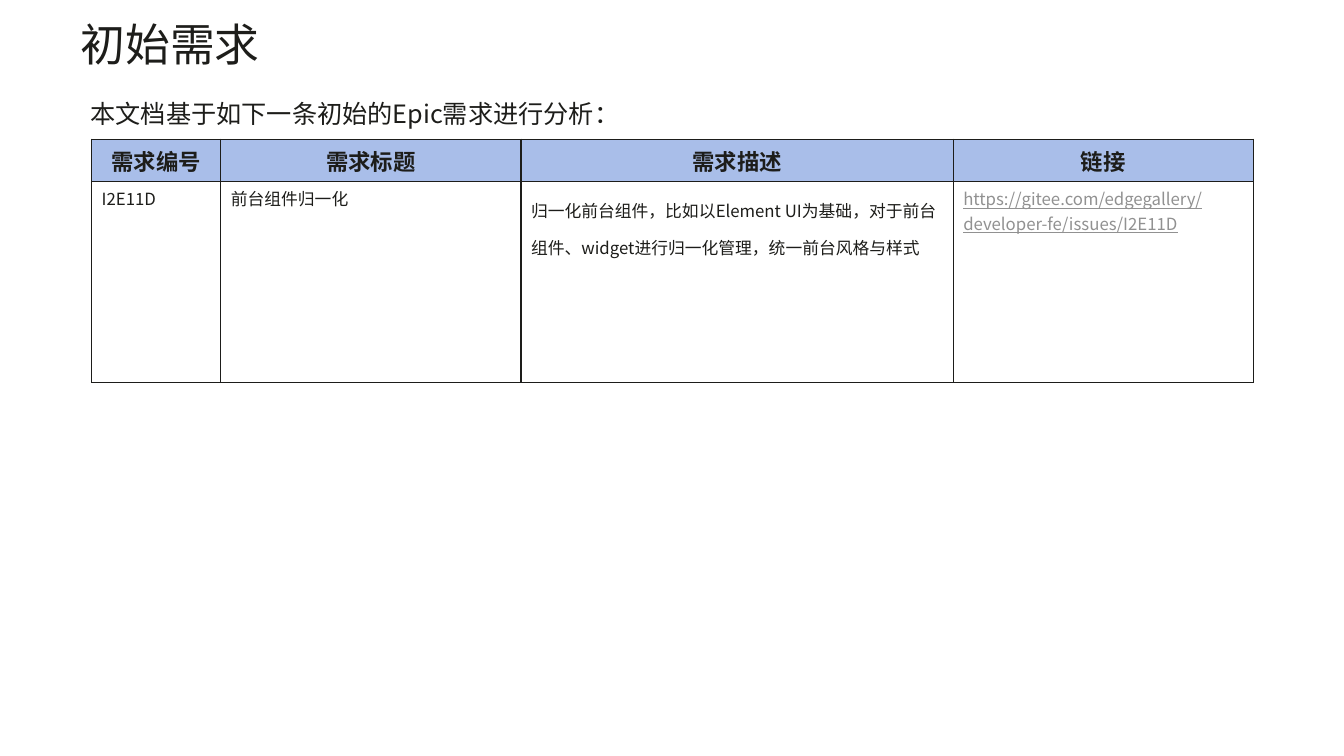
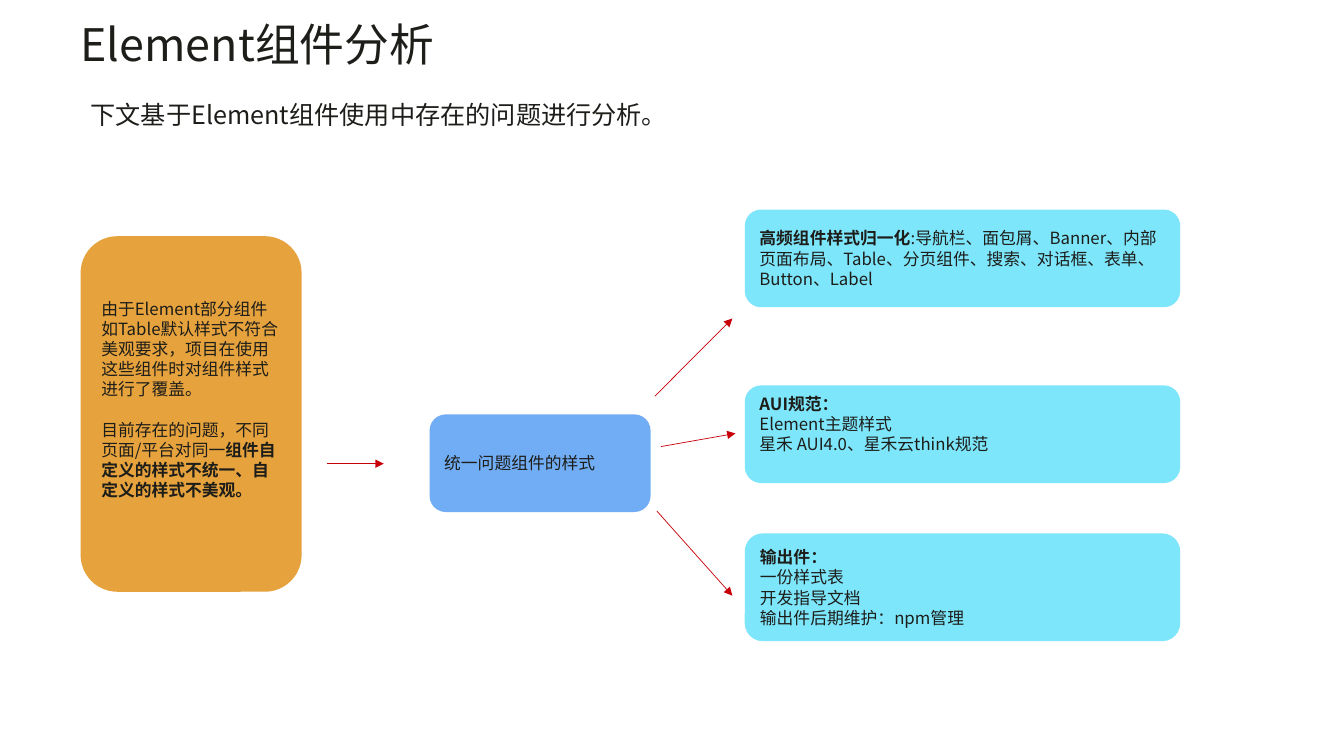
from dataclasses import dataclass

from lxml.etree import SubElement
from pptx import Presentation
from pptx.dml.color import RGBColor
from pptx.enum.shapes import MSO_CONNECTOR, MSO_SHAPE
from pptx.enum.text import MSO_ANCHOR, PP_ALIGN
from pptx.oxml.ns import qn
from pptx.util import Pt


@dataclass(frozen=True)
class Theme:
    ink: str = "1D1D1A"
    link: str = "919191"
    header: str = "A9BEE9"
    problem: str = "E6A23C"
    goal: str = "71ADF5"
    result: str = "7DE6FB"
    arrow: str = "C7000A"
    font: str = "Noto Sans CJK SC"
    header_font: str = "Calibri"
    title: float = 32
    lead: float = 18
    head: float = 16
    body: float = 12
    title_line: float = 34.3
    lead_line: float = 21.6
    body_line: float = 14.4


T = Theme()


def write(p, runs, size, spacing=None, color=T.ink, font=T.font):
    """Fill a paragraph with (text, bold) runs."""
    p.text = runs[0][0]
    for text, _ in runs[1:]:
        p.add_run().text = text
    if spacing:
        p.line_spacing = spacing
    for r, (_, bold) in zip(p.runs, runs):
        r.font.size, r.font.bold, r.font.name = Pt(size), bold, font
        r.font.color.rgb = RGBColor.from_string(color)
        SubElement(r.font._element, qn("a:ea"), typeface=T.font)


def add_page(prs, title, lead, lead_top):
    """Add a slide with its title and lead sentence."""
    s = prs.slides.add_slide(prs.slide_layouts[6])
    tf = s.shapes.add_textbox(Pt(57.6), Pt(16.2), Pt(846), Pt(45)).text_frame
    tf.word_wrap = True
    tf.margin_left = tf.margin_right = tf.margin_top = tf.margin_bottom = 0
    write(tf.paragraphs[0], [(title, False)], T.title, Pt(T.title_line))
    tf = s.shapes.add_textbox(Pt(57.6), Pt(lead_top), Pt(718), Pt(28.8)).text_frame
    tf.word_wrap = True
    write(tf.paragraphs[0], [(lead, False)], T.lead, Pt(T.lead_line))
    return s


prs = Presentation()
prs.slide_width, prs.slide_height = Pt(960.48), Pt(540)

# Slide 1: initial requirement
s = add_page(prs, "初始需求", "本文档基于如下一条初始的Epic需求进行分析：", 66.5)

rows = [
    ["需求编号", "需求标题", "需求描述", "链接"],
    [
        "I2E11D",
        "前台组件归一化",
        "归一化前台组件，比如以Element UI为基础，对于前台组件、widget进行归一化管理，统一前台风格与样式",
        "https://gitee.com/edgegallery/developer-fe/issues/I2E11D",
    ],
]
col_widths = [92.3, 214.5, 308.9, 214.5]
row_heights = [30, 143.6]
table = s.shapes.add_table(
    2, 4, Pt(65.5), Pt(99.5), Pt(sum(col_widths)), Pt(sum(row_heights))
).table
for col, width in zip(table.columns, col_widths):
    col.width = Pt(width)
for row, height in zip(table.rows, row_heights):
    row.height = Pt(height)

for i, texts in enumerate(rows):
    for j, text in enumerate(texts):
        cell = table.cell(i, j)
        p = cell.text_frame.paragraphs[0]
        # Borders come before the fill in the cell properties
        tcPr = cell._tc.get_or_add_tcPr()
        for side in ("lnL", "lnR", "lnT", "lnB"):
            ln = SubElement(tcPr, qn(f"a:{side}"), w=str(Pt(1)))
            fill = SubElement(ln, qn("a:solidFill"))
            SubElement(fill, qn("a:srgbClr"), val=T.ink)
        if i == 0:
            cell.fill.solid()
            cell.fill.fore_color.rgb = RGBColor.from_string(T.header)
            write(p, [(text, True)], T.head, font=T.header_font)
            p.alignment = PP_ALIGN.CENTER
        else:
            cell.fill.background()
            is_link = j == 3
            write(p, [(text, False)], T.body, 1.5 if j == 2 else None,
                  T.link if is_link else T.ink)
            p.runs[0].font.underline = is_link

# Slide 2: component analysis
s = add_page(prs, "Element组件分析", "下文基于Element组件使用中存在的问题进行分析。", 67.2)

# Boxes: left, top, width, height, fill, extra bottom inset, paragraph gap, paragraphs
boxes = [
    (57.6, 168.7, 158, 254, T.problem, 21, T.body_line, [
        [("由于Element部分组件如Table默认样式不符合美观要求，项目在使用这些组件时对组件样式进行了覆盖。", False)],
        [("目前存在的问题，不同页面/平台对同一", False),
         ("组件自定义的样式不统一、自定义的样式不美观。", True)],
    ]),
    (307, 296, 158, 69.8, T.goal, 0, 0, [[("统一问题组件的样式", False)]]),
    (532.3, 149.7, 311.2, 69.8, T.result, 0, 0, [
        [("高频组件样式归一化", True),
         (":导航栏、面包屑、Banner、内部页面布局、Table、分页组件、搜索、对话框、表单、Button、Label", False)],
    ]),
    (532.3, 275.3, 311.2, 69.8, T.result, T.body_line, 0, [
        [("AUI规范：", True)],
        [("Element主题样式", False)],
        [("星禾 AUI4.0、星禾云think规范", False)],
    ]),
    (532.3, 381, 311.2, 77, T.result, 0, 0, [
        [("输出件：", True)],
        [("一份样式表", False)],
        [("开发指导文档", False)],
        [("输出件后期维护：npm管理", False)],
    ]),
]
for left, top, width, height, color, extra, gap, paras in boxes:
    sp = s.shapes.add_shape(
        MSO_SHAPE.ROUNDED_RECTANGLE, Pt(left), Pt(top), Pt(width), Pt(height)
    )
    sp.shadow.inherit = False
    sp.fill.solid()
    sp.fill.fore_color.rgb = RGBColor.from_string(color)
    sp.line.fill.background()
    tf = sp.text_frame
    tf.word_wrap = True
    tf.vertical_anchor = MSO_ANCHOR.MIDDLE
    tf.margin_bottom = Pt(3.6 + extra)
    for n, runs in enumerate(paras):
        p = tf.add_paragraph() if n else tf.paragraphs[0]
        p.alignment = PP_ALIGN.LEFT
        if n and gap:
            p.space_before = Pt(gap)
        write(p, runs, T.body, Pt(T.body_line))

# Arrows: from x, from y, to x, to y
arrows = [
    (234, 331.2, 274.3, 331.2),
    (468, 283, 523.4, 227.5),
    (472.3, 319, 525.6, 309.6),
    (469.4, 365, 523.4, 425.5),
]
for points in arrows:
    line = s.shapes.add_connector(MSO_CONNECTOR.STRAIGHT, *map(Pt, points))
    line.line.color.rgb = RGBColor.from_string(T.arrow)
    line.line.width = Pt(0.5)
    SubElement(line.line._get_or_add_ln(), qn("a:tailEnd"), type="triangle")
    SubElement(line._element.spPr, qn("a:effectLst"))

prs.save("out.pptx")
